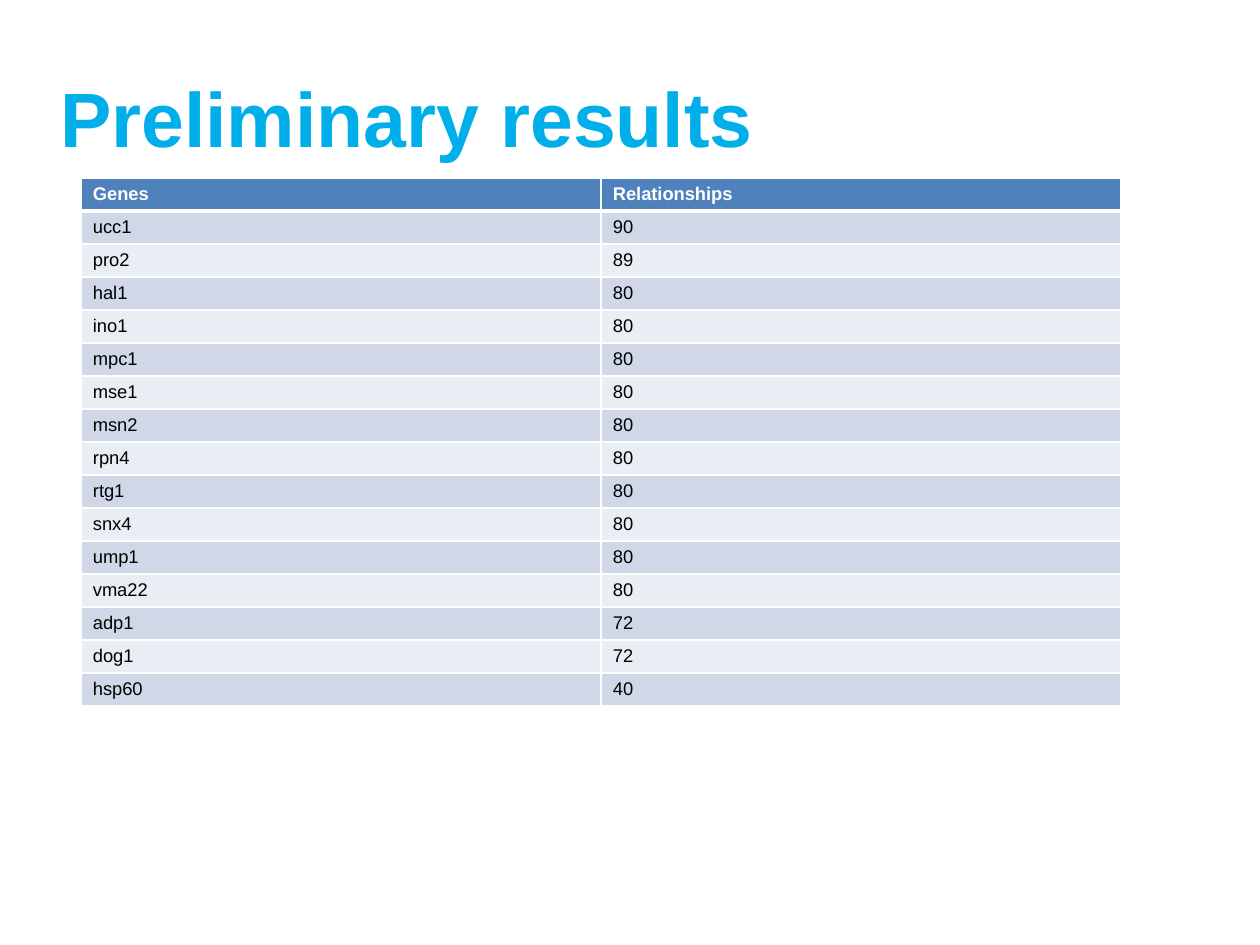
import pptx
import pptx.dml.color
import pptx.enum.text
import pptx.oxml
import pptx.oxml.ns
import pptx.util

PX = 914400 // 126
FONT = "Arial"
HUES = {"title": "00AFEA", "head": "4F81BD", "odd": "D0D8E8",
        "even": "E9EDF4", "white": "FFFFFF", "black": "000000"}
MID = pptx.enum.text.MSO_ANCHOR.MIDDLE

GENES = [("ucc1", 90), ("pro2", 89), ("hal1", 80), ("ino1", 80),
         ("mpc1", 80), ("mse1", 80), ("msn2", 80), ("rpn4", 80),
         ("rtg1", 80), ("snx4", 80), ("ump1", 80), ("vma22", 80),
         ("adp1", 72), ("dog1", 72), ("hsp60", 40)]


def px(num):
    return pptx.util.Emu(num * PX)


def tint(name):
    return pptx.dml.color.RGBColor.from_string(HUES[name])


def style(para, size, hue, bold):
    font = para.font
    font.name, font.size, font.bold = FONT, pptx.util.Pt(size), bold
    font.color.rgb = tint(hue)


def edge(cell, side, width):
    """Add one white border; call before the cell is filled."""
    line = pptx.oxml.parse_xml(
        f'<a:ln{side} {pptx.oxml.ns.nsdecls("a")} w="{pptx.util.Pt(width)}">'
        f'<a:solidFill><a:srgbClr val="{HUES["white"]}"/></a:solidFill>'
        f'</a:ln{side}>')
    cell._tc.get_or_add_tcPr().append(line)


def add_title(slide, box, text):
    frame = slide.shapes.add_textbox(*map(px, box)).text_frame
    frame.word_wrap = True
    frame.vertical_anchor = MID
    frame.margin_left = px(11)
    para = frame.paragraphs[0]
    para.text = text
    style(para, 44, "title", True)


def fill_cell(cell, text, row):
    # Borders: a thick rule parts the header from the body
    for side in "LRTB":
        thick = (row, side) in ((0, "B"), (1, "T"))
        edge(cell, side, 3 if thick else 1)
    # Banded fill
    cell.fill.solid()
    band = "head" if row == 0 else "odd" if row % 2 else "even"
    cell.fill.fore_color.rgb = tint(band)
    # Text
    cell.margin_left = cell.margin_right = px(12)
    cell.margin_top = cell.margin_bottom = px(5)
    cell.vertical_anchor = MID
    para = cell.text_frame.paragraphs[0]
    para.text = str(text)
    style(para, 10.5, "black" if row else "white", row == 0)


def add_genes(slide, box, rows):
    table = slide.shapes.add_table(
        len(rows), len(rows[0]), *map(px, box)).table
    for r, pair in enumerate(rows):
        table.rows[r].height = px(box[3] // len(rows))
        for c, text in enumerate(pair):
            fill_cell(table.cell(r, c), text, r)


def main():
    deck = pptx.Presentation()
    deck.slide_width, deck.slide_height = px(1260), px(945)
    slide = deck.slides.add_slide(deck.slide_layouts[6])
    add_title(slide, (49, 38, 1144, 158), "Preliminary results")
    add_genes(slide, (81, 178, 1040, 528),
              [("Genes", "Relationships")] + GENES)
    deck.save("out.pptx")


if __name__ == "__main__":
    main()
